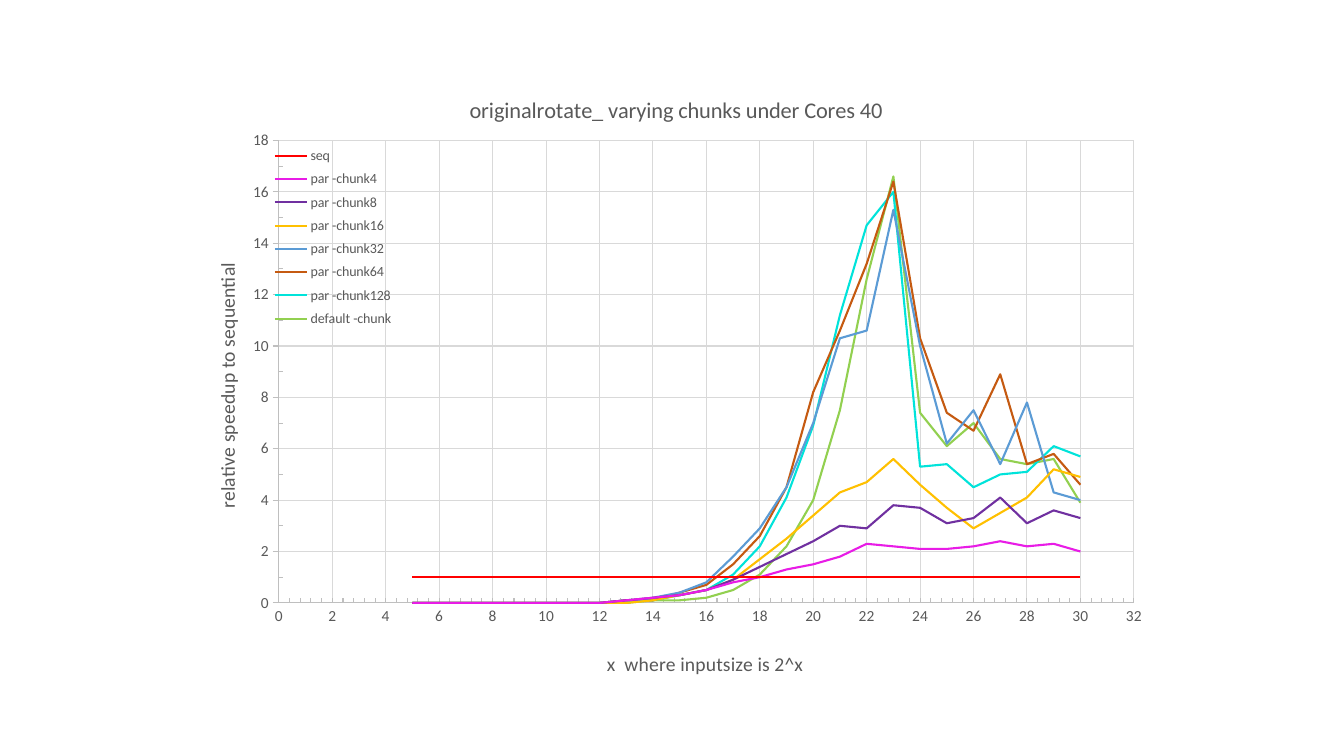
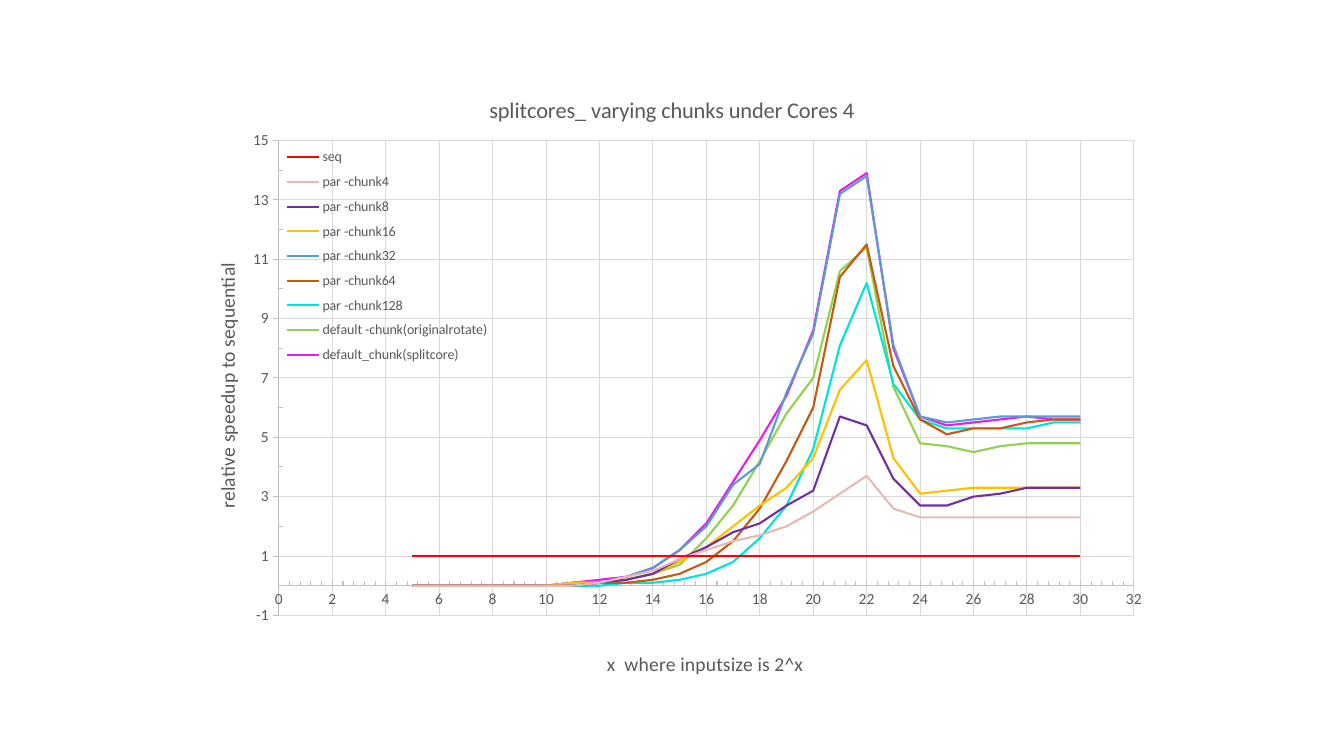
"""Build two slides comparing the speedup of parallel rotation by chunk size."""
import dataclasses

import lxml.etree
import pptx
import pptx.chart.data
import pptx.dml.color
import pptx.enum.chart
import pptx.oxml.ns
import pptx.util

SLIDE_WIDTH = pptx.util.Inches(13.33)
SLIDE_HEIGHT = pptx.util.Inches(7.5)
COLUMN = SLIDE_WIDTH / 160
ROW = SLIDE_HEIGHT / 150
CHART_COLUMNS, CHART_ROWS = 117, 124
EXPONENTS = range(5, 31)
SEQUENTIAL = [1] * len(EXPONENTS)


@dataclasses.dataclass(frozen=True)
class Theme:
    """Hold the colours, type sizes and line widths of the deck."""
    font: str = "Calibri"
    ink: str = "595959"
    axis: str = "BFBFBF"
    grid: str = "D9D9D9"
    red: str = "FF0000"
    magenta: str = "E81CE6"
    rose: str = "E8B8B4"
    purple: str = "7030A0"
    gold: str = "FFC000"
    blue: str = "5B9BD5"
    rust: str = "C55A11"
    cyan: str = "00E3DA"
    green: str = "92D050"
    title_size: float = 16
    axis_title_size: float = 14
    tick_size: float = 11
    legend_size: float = 10
    thin: float = 0.75
    curve: float = 1.5


THEME = Theme()


@dataclasses.dataclass(frozen=True)
class Speedup:
    """Describe one speedup chart; places are shares of the chart's size."""
    title: str
    title_place: tuple
    plot_place: tuple
    legend_place: tuple
    lowest: float
    highest: float
    runs: tuple


ROTATE = Speedup(
    title="originalrotate_ varying chunks under Cores 40",
    title_place=(0.29, 0.04),
    plot_place=(0.1, 0.12, 0.87, 0.74),
    legend_place=(0.09, 0.12, 0.13, 0.31),
    lowest=0,
    highest=18,
    runs=(
        ("seq", THEME.red, SEQUENTIAL),
        ("par -chunk4", THEME.magenta,
         [0, 0, 0, 0, 0, 0, 0, 0, 0.1, 0.2, 0.3, 0.5, 0.8, 1, 1.3, 1.5, 1.8,
          2.3, 2.2, 2.1, 2.1, 2.2, 2.4, 2.2, 2.3, 2]),
        ("par -chunk8", THEME.purple,
         [0, 0, 0, 0, 0, 0, 0, 0, 0.1, 0.2, 0.3, 0.5, 0.9, 1.4, 1.9, 2.4, 3,
          2.9, 3.8, 3.7, 3.1, 3.3, 4.1, 3.1, 3.6, 3.3]),
        ("par -chunk16", THEME.gold,
         [0, 0, 0, 0, 0, 0, 0, 0, 0, 0.1, 0.3, 0.5, 0.9, 1.7, 2.5, 3.4, 4.3,
          4.7, 5.6, 4.6, 3.7, 2.9, 3.5, 4.1, 5.2, 4.9]),
        ("par -chunk32", THEME.blue,
         [0, 0, 0, 0, 0, 0, 0, 0, 0, 0.2, 0.4, 0.8, 1.8, 2.9, 4.5, 7, 10.3,
          10.6, 15.3, 10, 6.2, 7.5, 5.4, 7.8, 4.3, 4]),
        ("par -chunk64", THEME.rust,
         [0, 0, 0, 0, 0, 0, 0, 0, 0.1, 0.1, 0.4, 0.7, 1.5, 2.6, 4.5, 8.2, 10.6,
          13.2, 16.4, 10.3, 7.4, 6.7, 8.9, 5.4, 5.8, 4.6]),
        ("par -chunk128", THEME.cyan,
         [0, 0, 0, 0, 0, 0, 0, 0, 0.1, 0.1, 0.3, 0.5, 1.1, 2.2, 4.1, 6.9, 11.2,
          14.7, 16, 5.3, 5.4, 4.5, 5, 5.1, 6.1, 5.7]),
        ("default -chunk", THEME.green,
         [0, 0, 0, 0, 0, 0, 0, 0, 0, 0.1, 0.1, 0.2, 0.5, 1.1, 2.2, 4, 7.5,
          12.6, 16.6, 7.4, 6.1, 7, 5.6, 5.4, 5.6, 3.9]),
    ),
)

SPLIT_CORES = Speedup(
    title="splitcores_ varying chunks under Cores 4",
    title_place=(0.31, 0.04),
    plot_place=(0.1, 0.12, 0.87, 0.76),
    legend_place=(0.1, 0.12, 0.22, 0.37),
    lowest=-1,
    highest=15,
    runs=(
        ("seq", THEME.red, SEQUENTIAL),
        ("par -chunk4", THEME.rose,
         [0, 0, 0, 0, 0, 0, 0, 0.1, 0.3, 0.5, 0.9, 1.2, 1.5, 1.7, 2, 2.5, 3.1,
          3.7, 2.6, 2.3, 2.3, 2.3, 2.3, 2.3, 2.3, 2.3]),
        ("par -chunk8", THEME.purple,
         [0, 0, 0, 0, 0, 0, 0, 0.1, 0.2, 0.4, 0.9, 1.3, 1.8, 2.1, 2.7, 3.2, 5.7,
          5.4, 3.6, 2.7, 2.7, 3, 3.1, 3.3, 3.3, 3.3]),
        ("par -chunk16", THEME.gold,
         [0, 0, 0, 0, 0, 0, 0.1, 0.1, 0.2, 0.4, 0.8, 1.3, 2, 2.7, 3.3, 4.3, 6.6,
          7.6, 4.3, 3.1, 3.2, 3.3, 3.3, 3.3, 3.3, 3.3]),
        ("par -chunk32", THEME.blue,
         [0, 0, 0, 0, 0, 0, 0.1, 0.1, 0.3, 0.6, 1.2, 2, 3.4, 4.1, 6.5, 8.5, 13.2,
          13.8, 8.1, 5.7, 5.5, 5.6, 5.7, 5.7, 5.7, 5.7]),
        ("par -chunk64", THEME.rust,
         [0, 0, 0, 0, 0, 0, 0, 0.1, 0.1, 0.2, 0.4, 0.8, 1.5, 2.6, 4.2, 6, 10.4,
          11.5, 7.4, 5.6, 5.1, 5.3, 5.3, 5.5, 5.6, 5.6]),
        ("par -chunk128", THEME.cyan,
         [0, 0, 0, 0, 0, 0, 0, 0, 0.1, 0.1, 0.2, 0.4, 0.8, 1.6, 2.7, 4.6, 8.1,
          10.2, 6.8, 5.6, 5.3, 5.3, 5.3, 5.3, 5.5, 5.5]),
        ("default -chunk(originalrotate)", THEME.green,
         [0, 0, 0, 0, 0, 0, 0.1, 0.1, 0.2, 0.4, 0.7, 1.6, 2.7, 4.2, 5.8, 7, 10.6,
          11.4, 6.7, 4.8, 4.7, 4.5, 4.7, 4.8, 4.8, 4.8]),
        ("default_chunk(splitcore)", THEME.magenta,
         [0, 0, 0, 0, 0, 0, 0.1, 0.2, 0.3, 0.6, 1.2, 2.1, 3.5, 4.9, 6.4, 8.6,
          13.3, 13.9, 8, 5.7, 5.4, 5.5, 5.6, 5.7, 5.6, 5.6]),
    ),
)


def style_font(font, size, color=THEME.ink, bold=False):
    """Set the face, size, colour and weight of a font."""
    font.name = THEME.font
    font.size = pptx.util.Pt(size)
    font.bold = bold
    font.color.rgb = pptx.dml.color.RGBColor.from_string(color)


def style_line(line, color, width):
    """Give a line a solid colour and a width in points."""
    line.color.rgb = pptx.dml.color.RGBColor.from_string(color)
    line.width = pptx.util.Pt(width)


def write(frame, text, **style):
    """Put one formatted run of text into a text frame."""
    run = frame.paragraphs[0].add_run()
    run.text = text
    style_font(run.font, **style)


def place(part, shares, inner=False):
    """Fix a chart part at the given shares of the chart's size."""
    qn = pptx.oxml.ns.qn
    for old in part.findall(qn("c:layout")):
        part.remove(old)
    layout = lxml.etree.Element(qn("c:layout"))
    manual = lxml.etree.SubElement(layout, qn("c:manualLayout"))
    settings = [("layoutTarget", "inner")] if inner else []
    settings += [("xMode", "edge"), ("yMode", "edge")]
    settings += [(key, str(share)) for key, share in zip("xywh", shares)]
    for tag, value in settings:
        lxml.etree.SubElement(manual, qn("c:" + tag)).set("val", value)
    leaders = part.xpath("c:tx | c:legendPos")
    part.insert(len(leaders), layout)


def style_axis(axis, title, title_place, limits, minor_unit, major_tick):
    """Set the title, scale, ticks, labels and gridlines of an axis."""
    write(axis.axis_title.text_frame, title, size=THEME.axis_title_size)
    place(axis.axis_title.element, title_place)
    axis.minimum_scale, axis.maximum_scale = limits
    axis.major_unit, axis.minor_unit = 2, minor_unit
    axis.major_tick_mark = major_tick
    axis.minor_tick_mark = pptx.enum.chart.XL_TICK_MARK.INSIDE
    axis.has_major_gridlines = True
    style_line(axis.major_gridlines.format.line, THEME.grid, THEME.thin)
    style_line(axis.format.line, THEME.axis, THEME.thin)
    style_font(axis.tick_labels.font, THEME.tick_size)
    axis.tick_labels.number_format = "General"
    axis.tick_labels.number_format_is_linked = False


def style_axes(chart, speedup):
    """Set up the input size axis and the speedup axis."""
    ticks = pptx.enum.chart.XL_TICK_MARK
    style_axis(chart.category_axis, "x  where inputsize is 2^x ", (0.43, 0.93),
               (0, 32), 0.4, ticks.NONE)
    style_axis(chart.value_axis, "relative speedup to sequential", (0.03, 0.31),
               (speedup.lowest, speedup.highest), 1, ticks.OUTSIDE)
    for body in chart.value_axis.axis_title.element.xpath(".//a:bodyPr"):
        body.set("rot", "-5400000")
        body.set("vert", "horz")


def style_legend(chart, shares):
    """Lay the legend over the plot."""
    chart.has_legend = True
    chart.legend.position = pptx.enum.chart.XL_LEGEND_POSITION.RIGHT
    chart.legend.include_in_layout = True
    style_font(chart.legend.font, THEME.legend_size)
    place(chart.element.xpath(".//c:legend")[0], shares)


def add_speedup_chart(slide, speedup):
    """Add a centred chart with one line for each run."""
    curves = pptx.chart.data.XyChartData()
    for name, _, values in speedup.runs:
        curve = curves.add_series(name)
        for exponent, value in zip(EXPONENTS, values):
            curve.add_data_point(exponent, value)
    width, height = int(CHART_COLUMNS * COLUMN), int(CHART_ROWS * ROW)
    chart = slide.shapes.add_chart(
        pptx.enum.chart.XL_CHART_TYPE.XY_SCATTER_LINES_NO_MARKERS,
        (SLIDE_WIDTH - width) // 2, (SLIDE_HEIGHT - height) // 2,
        width, height, curves).chart
    style_font(chart.font, THEME.legend_size, color="000000")
    chart.has_title = True
    write(chart.chart_title.text_frame, speedup.title, size=THEME.title_size)
    place(chart.chart_title.element, speedup.title_place)
    chart.plots[0].vary_by_categories = False
    for curve, (_, color, _) in zip(chart.plots[0].series, speedup.runs):
        curve.smooth = False
        style_line(curve.format.line, color, THEME.curve)
    style_axes(chart, speedup)
    style_legend(chart, speedup.legend_place)
    place(chart.element.xpath(".//c:plotArea")[0], speedup.plot_place, inner=True)


def main():
    """Build and save the deck."""
    deck = pptx.Presentation()
    deck.slide_width, deck.slide_height = SLIDE_WIDTH, SLIDE_HEIGHT
    for speedup in (ROTATE, SPLIT_CORES):
        add_speedup_chart(deck.slides.add_slide(deck.slide_layouts[6]), speedup)
    deck.save("out.pptx")


main()
